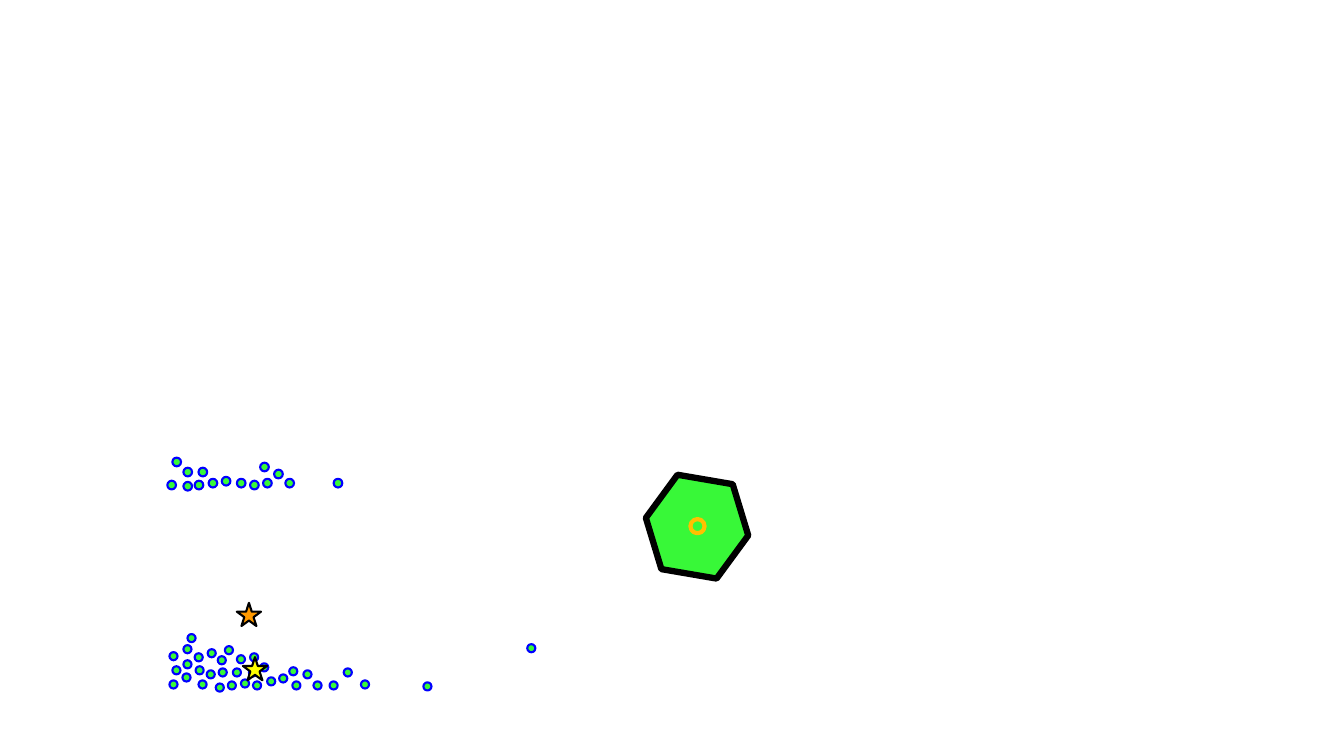
"""Build a slide with two clusters of dots, two stars and a ringed hexagon."""
import dataclasses

import pptx
import pptx.dml.color
import pptx.enum.shapes
import pptx.util

Pt = pptx.util.Pt
PRESET = pptx.enum.shapes.MSO_SHAPE


@dataclasses.dataclass(frozen=True)
class Theme:
    green: str = "38F838"
    blue: str = "0000FF"
    black: str = "000000"
    yellow: str = "FFFF00"
    orange: str = "FF9900"
    gold: str = "FFC000"
    thin: float = 1.5
    medium: float = 3
    thick: float = 4.5


THEME = Theme()

UPPER_DOT_SIZE = 6.2
UPPER_DOTS = [
    (119.5, 343.4), (123.1, 326.9), (131, 334.1), (131, 344.2), (141.8, 334.1),
    (139, 343.4), (149, 342), (158.4, 340.6), (169.2, 342), (178.6, 343.4),
    (185.8, 330.5), (187.9, 342), (195.8, 335.5), (203.8, 342), (238.3, 342),
]

LOWER_DOT_SIZE = 5.8
LOWER_DOTS = [
    (121, 486), (123.1, 475.9), (121, 465.8), (130.3, 481), (131, 471.6),
    (131, 460.8), (133.9, 452.9), (141.8, 486), (139.7, 475.9), (139, 466.6),
    (148.3, 463.7), (147.6, 478.8), (154.1, 488.2), (156.2, 477.4), (155.5, 468.7),
    (160.6, 461.5), (162.7, 486.7), (166.3, 477.4), (169.2, 468), (172.1, 485.3),
    (177.8, 477.4), (178.6, 466.6), (180.7, 486.7), (190.8, 483.8), (185.8, 473.8),
    (199.4, 481.7), (206.6, 476.6), (208.8, 486.7), (216.7, 478.8), (223.9, 486.7),
    (235.4, 486.7), (245.5, 477.4), (257.8, 486), (302.4, 487.4), (376.6, 460.1),
]


def add_marker(slide, preset, left, top, width, height, fill, outline, weight):
    """Add a filled, outlined preset shape and return it."""
    marker = slide.shapes.add_shape(preset, Pt(left), Pt(top), Pt(width), Pt(height))
    marker.shadow.inherit = False
    marker.fill.solid()
    marker.fill.fore_color.rgb = pptx.dml.color.RGBColor.from_string(fill)
    marker.line.color.rgb = pptx.dml.color.RGBColor.from_string(outline)
    marker.line.width = Pt(weight)
    return marker


def add_dots(slide, positions, size):
    """Add one cluster of equal dots."""
    for left, top in positions:
        add_marker(slide, PRESET.OVAL, left, top, size, size,
                   THEME.green, THEME.blue, THEME.thin)


def add_star(slide, left, top, fill):
    """Add a five-pointed star."""
    add_marker(slide, PRESET.STAR_5_POINT, left, top, 17.3, 16.6,
               fill, THEME.black, THEME.thin)


def main():
    """Build and save the slide."""
    deck = pptx.Presentation()
    deck.slide_width, deck.slide_height = Pt(960), Pt(540)
    slide = deck.slides.add_slide(deck.slide_layouts[6])

    hexagon = add_marker(slide, PRESET.HEXAGON, 460.8, 342, 74.2, 68.4,
                         THEME.green, THEME.black, THEME.thick)
    hexagon.rotation = 9.7
    add_dots(slide, UPPER_DOTS, UPPER_DOT_SIZE)
    add_dots(slide, LOWER_DOTS, LOWER_DOT_SIZE)
    add_star(slide, 173.5, 469.4, THEME.yellow)
    add_star(slide, 169.2, 430.6, THEME.orange)
    add_marker(slide, PRESET.OVAL, 493.2, 370.8, 10.1, 10.1,
               THEME.green, THEME.gold, THEME.medium)

    deck.save("out.pptx")


if __name__ == "__main__":
    main()
